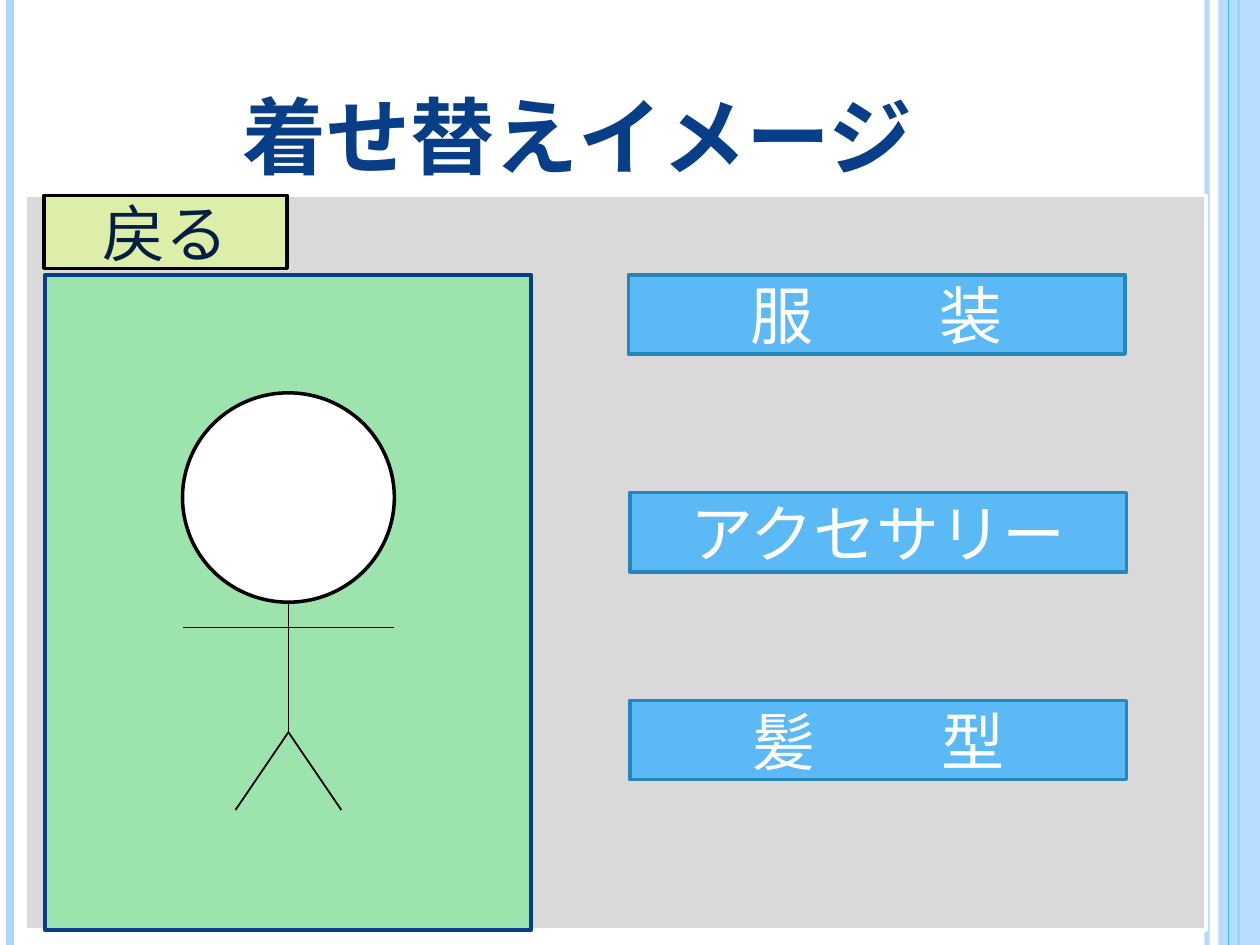
import pptx
import pptx.util
import pptx.dml.color
import pptx.oxml
import pptx.oxml.ns
from pptx.enum.shapes import MSO_CONNECTOR, MSO_SHAPE
from pptx.enum.text import MSO_ANCHOR, PP_ALIGN

Cm, Pt = pptx.util.Cm, pptx.util.Pt
qn = pptx.oxml.ns.qn
FONT = "TeX Gyre Schola"
WIDE = "\u3000"

TITLE = "着せ替えイメージ"
BACK = "戻る"
BUTTONS = [
    (12.67, 5.54, ["服", WIDE, "装"]),
    (12.7, 9.93, ["アクセサリー"]),
    (12.7, 14.12, ["髪", WIDE, "型"]),
]
STRIPES = [
    (24.33, "AED7FE", 3, 93),
    (0.2, "AED7FE", 4.5, 100),
    (24.97, "31B6FD", 1.5, 100),
    (24.77, "31B6FD", 0.75, 100),
]
SIDE_BAR = (24.56, 0, 0.84, 19.05)
PANEL = (0.51, 3.94, 23.8, 14.81)
STAGE = (0.91, 5.54, 9.8, 13.21)
BACK_BOX = (0.89, 3.94, 4.9, 1.47)
BUTTON_SIZE = (10.01, 1.6)
HEAD = (3.68, 7.92, 4.27, 4.22)
SHOULDER_Y, HIP_Y, FOOT_Y = 12.65, 14.76, 16.33


def rgb(value):
    return pptx.dml.color.RGBColor.from_string(value)


def set_alpha(fill_parent, percent):
    if percent < 100:
        color = next(fill_parent.iter(qn("a:srgbClr")))
        alpha = pptx.oxml.parse_xml(
            '<a:alpha xmlns:a="http://schemas.openxmlformats.org/drawingml/2006/main" '
            f'val="{percent * 1000}"/>')
        color.append(alpha)


def write(sp, parts, size=36, color="FFFFFF", bold=False, small_caps=False,
          anchor=MSO_ANCHOR.MIDDLE):
    tf = sp.text_frame
    tf.word_wrap = True
    tf.vertical_anchor = anchor
    p = tf.paragraphs[0]
    p.alignment = PP_ALIGN.CENTER
    for part in parts:
        r = p.add_run()
        r.text = part
        r.font.name = FONT
        r.font.size = Pt(size)
        r.font.bold = bold
        r.font.color.rgb = rgb(color)
        if part == WIDE:
            r.font._element.set("spc", str(size * 100))
        if small_caps:
            r.font._element.set("cap", "small")


def add_box(shapes, box, fill, line=None, kind=MSO_SHAPE.RECTANGLE, alpha=100):
    sp = shapes.add_shape(kind, *map(Cm, box))
    sp.shadow.inherit = False
    sp.fill.solid()
    sp.fill.fore_color.rgb = rgb(fill)
    set_alpha(sp._element.spPr, alpha)
    if line:
        sp.line.color.rgb = rgb(line)
        sp.line.width = Pt(2)
    else:
        sp.line.fill.background()
    return sp


def add_line(shapes, start, end, color="000000", width=1, alpha=100):
    cn = shapes.add_connector(MSO_CONNECTOR.STRAIGHT, *map(Cm, start + end))
    cn.line.color.rgb = rgb(color)
    cn.line.width = Pt(width)
    spPr = cn._element.spPr
    set_alpha(spPr, alpha)
    spPr.append(spPr.makeelement(qn("a:effectLst"), {}))


prs = pptx.Presentation()
prs.slide_width, prs.slide_height = Cm(25.4), Cm(19.05)
s = prs.slides.add_slide(prs.slide_layouts[5])
shapes = s.shapes

for x, color, width, alpha in STRIPES[:3]:
    add_line(shapes, (x, 0), (x, 19.05), color, width, alpha)
add_box(shapes, SIDE_BAR, "AED7FE", alpha=87)
for x, color, width, alpha in STRIPES[3:]:
    add_line(shapes, (x, 0), (x, 19.05), color, width, alpha)

title = shapes.title
title.left, title.top, title.width, title.height = map(Cm, (1.27, 0.76, 20.75, 3.18))
write(title, [TITLE], size=60, color="073E87", bold=True, small_caps=True,
      anchor=MSO_ANCHOR.BOTTOM)

add_box(shapes, PANEL, "D9D9D9", "FFFFFF")
add_box(shapes, STAGE, "9DE3AE", "073E87")

figure = shapes.add_group_shape().shapes
left, top, width, height = HEAD
center = left + width / 2
add_box(figure, HEAD, "FFFFFF", "000000", MSO_SHAPE.OVAL)
add_line(figure, (center, top + height), (center, HIP_Y))
for side in (-1, 1):
    add_line(figure, (center, SHOULDER_Y), (center + side * width / 2, SHOULDER_Y))
    add_line(figure, (center, HIP_Y), (center + side * width / 4, FOOT_Y))

for x, y, parts in BUTTONS:
    write(add_box(shapes, (x, y) + BUTTON_SIZE, "5BBAF6", "2487BB"), parts)
write(add_box(shapes, BACK_BOX, "DCEEA7", "000000"), [BACK], color="041F44")

prs.save("out.pptx")
